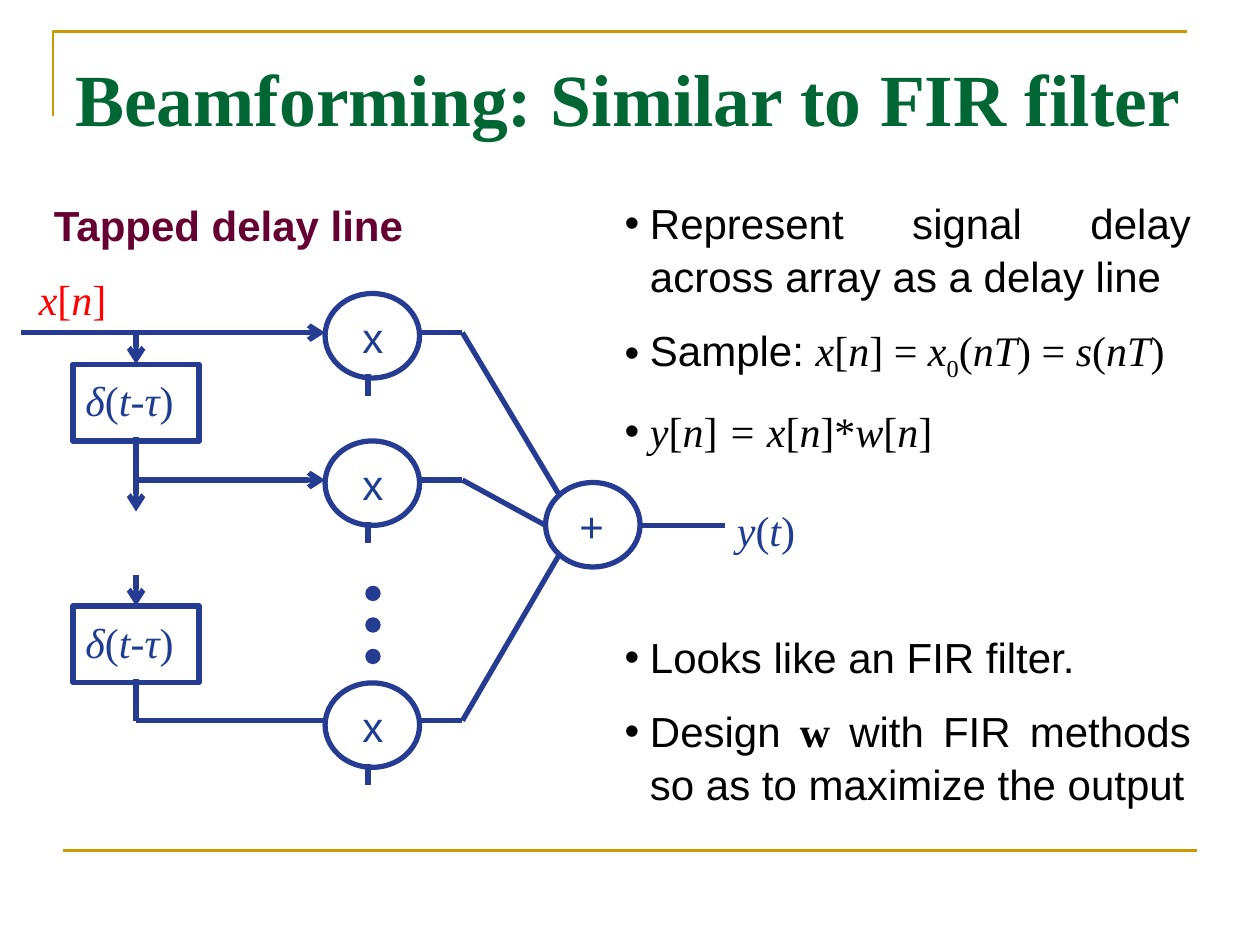
from dataclasses import dataclass

from lxml import etree
from pptx import Presentation
from pptx.dml.color import RGBColor
from pptx.enum.shapes import MSO_CONNECTOR, MSO_SHAPE
from pptx.enum.text import MSO_ANCHOR, PP_ALIGN
from pptx.oxml.ns import qn
from pptx.util import Inches, Pt

STRAIGHT = MSO_CONNECTOR.STRAIGHT
ELLIPSE, RECTANGLE = MSO_SHAPE.OVAL, MSO_SHAPE.RECTANGLE
LEFT, CENTER, JUSTIFY = PP_ALIGN.LEFT, PP_ALIGN.CENTER, PP_ALIGN.JUSTIFY
TOP = MSO_ANCHOR.TOP

COLORS = {
    "white": "FFFFFF", "gold": "CC9900", "green": "006633", "plum": "660033",
    "line": "263C92", "label": "1E3C92", "black": "000000", "red": "FF0000",
}
SANS, SERIF = "Arial", "Times New Roman"


@dataclass(frozen=True)
class Span:
    text: str
    font: str = SERIF
    italic: bool = False
    bold: bool = False
    subscript: bool = False


@dataclass(frozen=True)
class Bullet:
    spans: list[Span]
    space_before: float = 12


@dataclass(frozen=True)
class Tap:
    line_y: float
    circle_y: float
    sum_x: float
    sum_y: float
    arrow: bool


def math_spans(text: str) -> list[Span]:
    spans = []
    for index, part in enumerate(text.split("|")):
        if part:
            spans.append(Span(part, italic=index % 2 == 0))
    return spans


def rgb(name: str) -> RGBColor:
    return RGBColor.from_string(COLORS[name])


def add_spans(para, spans: list[Span], color: str, size: float = 24) -> None:
    for span in spans:
        run = para.add_run()
        run.text = span.text
        run.font.name = span.font
        run.font.size = Pt(size)
        run.font.italic = span.italic
        run.font.bold = span.bold
        run.font.color.rgb = rgb(color)
        if span.subscript:
            run.font._element.set("baseline", "-25000")


def prepare_frame(shape, wrap: bool = True):
    frame = shape.text_frame
    frame.word_wrap = wrap
    frame.vertical_anchor = TOP
    frame.margin_top = Inches(0.08)
    return frame


def add_text(slide, left: float, top: float, width: float, height: float,
             spans: list[Span], color: str, size: float = 24,
             align: PP_ALIGN = LEFT, wrap: bool = True) -> None:
    box = slide.shapes.add_textbox(Inches(left), Inches(top), Inches(width), Inches(height))
    para = prepare_frame(box, wrap).paragraphs[0]
    para.alignment = align
    add_spans(para, spans, color, size)


def add_node(slide, kind: MSO_SHAPE, left: float, top: float, width: float,
             height: float, fill: str = "white") -> None:
    node = slide.shapes.add_shape(kind, Inches(left), Inches(top), Inches(width), Inches(height))
    node.shadow.inherit = False
    node.fill.solid()
    node.fill.fore_color.rgb = rgb(fill)
    node.line.color.rgb = rgb("line")
    node.line.width = Pt(3)


def add_line(slide, x1: float, y1: float, x2: float, y2: float,
             arrow: bool = False, color: str = "line", width: float = 3) -> None:
    line = slide.shapes.add_connector(STRAIGHT, Inches(x1), Inches(y1), Inches(x2), Inches(y2))
    line.line.color.rgb = rgb(color)
    line.line.width = Pt(width)
    if arrow:
        etree.SubElement(line.line._get_or_add_ln(), qn("a:tailEnd"), type="arrow")
    etree.SubElement(line._element.spPr, qn("a:effectLst"))


def add_frame(slide) -> None:
    builder = slide.shapes.build_freeform(Inches(0.42), Inches(0.92))
    builder.add_line_segments(
        [(Inches(0.42), Inches(0.25)), (Inches(9.42), Inches(0.25))], close=False)
    corner = builder.convert_to_shape()
    corner.shadow.inherit = False
    corner.fill.background()
    corner.line.color.rgb = rgb("gold")
    corner.line.width = Pt(1.5)
    add_line(slide, 0.5, 6.75, 9.5, 6.75, color="gold", width=1.5)


def add_tap(slide, tap: Tap, start_x: float) -> None:
    add_line(slide, 3.67, tap.line_y, tap.sum_x, tap.sum_y)
    add_line(slide, start_x, tap.line_y, 2.58, tap.line_y, tap.arrow)
    add_node(slide, ELLIPSE, 2.58, tap.circle_y, 0.75, 0.67)
    add_line(slide, 3.33, tap.line_y, 3.67, tap.line_y)
    add_text(slide, 2.67, tap.circle_y + 0.06, 0.58, 0.5, [Span("x", SANS)], "label", align=CENTER)
    add_line(slide, 2.92, tap.circle_y + 0.81, 2.92, tap.circle_y + 0.64)


def add_delay(slide, top: float) -> None:
    add_node(slide, RECTANGLE, 0.58, top, 1, 0.61)
    add_text(slide, 0.58, top, 1, 0.5, math_spans("δ|(|t-τ|)"), "label")
    add_line(slide, 1.08, top - 0.25, 1.08, top, True)


def add_bullets(slide, bullets: list[Bullet]) -> None:
    box = slide.shapes.add_textbox(Inches(4.86), Inches(1.47), Inches(4.69), Inches(4.83))
    frame = prepare_frame(box)
    for index, bullet in enumerate(bullets):
        para = frame.add_paragraph() if index else frame.paragraphs[0]
        para.alignment = JUSTIFY
        para.line_spacing = 1.05
        if index:
            para.space_before = Pt(bullet.space_before)
        properties = para._p.get_or_add_pPr()
        properties.set("marL", str(Inches(0.2)))
        properties.set("indent", str(-Inches(0.2)))
        etree.SubElement(properties, qn("a:buFont"), typeface=SANS)
        etree.SubElement(properties, qn("a:buChar"), char="•")
        add_spans(para, bullet.spans, "black")


def main() -> None:
    deck = Presentation()
    deck.slide_width, deck.slide_height = Inches(10), Inches(7.5)
    slide = deck.slides.add_slide(deck.slide_layouts[6])

    add_frame(slide)
    add_text(slide, 0.5, 0.34, 9, 1.25,
             [Span("Beamforming: Similar to FIR filter", bold=True)], "green", 42, wrap=False)
    add_text(slide, 0.33, 1.5, 4.5, 0.83,
             [Span("Tapped delay line", SANS, bold=True)], "plum")

    taps = [
        Tap(2.64, 2.33, 4.44, 3.93, True),
        Tap(3.81, 3.5, 4.33, 4.17, True),
        Tap(5.72, 5.42, 4.44, 4.4, False),
    ]
    for tap, start_x in zip(taps, (0.17, 1.08, 1.08)):
        add_tap(slide, tap, start_x)

    add_node(slide, ELLIPSE, 4.33, 3.83, 0.75, 0.67)
    add_text(slide, 4.5, 3.89, 0.4, 0.5, [Span("+", SANS)], "label", wrap=False)
    add_line(slide, 5.08, 4.17, 5.75, 4.17)
    add_text(slide, 5.75, 3.92, 1, 0.51, math_spans("y|(|t|)"), "label")

    for top in (2.89, 4.81):
        add_delay(slide, top)
    add_line(slide, 1.08, 3.47, 1.08, 4.06, True)
    add_line(slide, 1.08, 5.39, 1.08, 5.72)
    for step in range(3):
        add_node(slide, ELLIPSE, 2.92, 4.67 + 0.25 * step, 0.08, 0.08, "label")
    add_text(slide, 0.21, 2.09, 0.74, 0.5, math_spans("x|[|n|]"), "red", wrap=False)

    sample = [Span("Sample: ", SANS), *math_spans("x|[|n|] = |x"),
              Span("0", subscript=True), *math_spans("|(|nT|) = |s|(|nT|)")]
    design = [Span("Design ", SANS), Span("w", bold=True),
              Span(" with FIR methods so as to maximize the output", SANS)]
    add_bullets(slide, [
        Bullet([Span("Represent signal delay across array as a delay line", SANS)]),
        Bullet(sample),
        Bullet(math_spans("y|[|n|]| = x|[|n|]*|w|[|n|]")),
        Bullet([Span("Looks like an FIR filter.", SANS)], 99),
        Bullet(design),
    ])
    deck.save("out.pptx")


if __name__ == "__main__":
    main()
